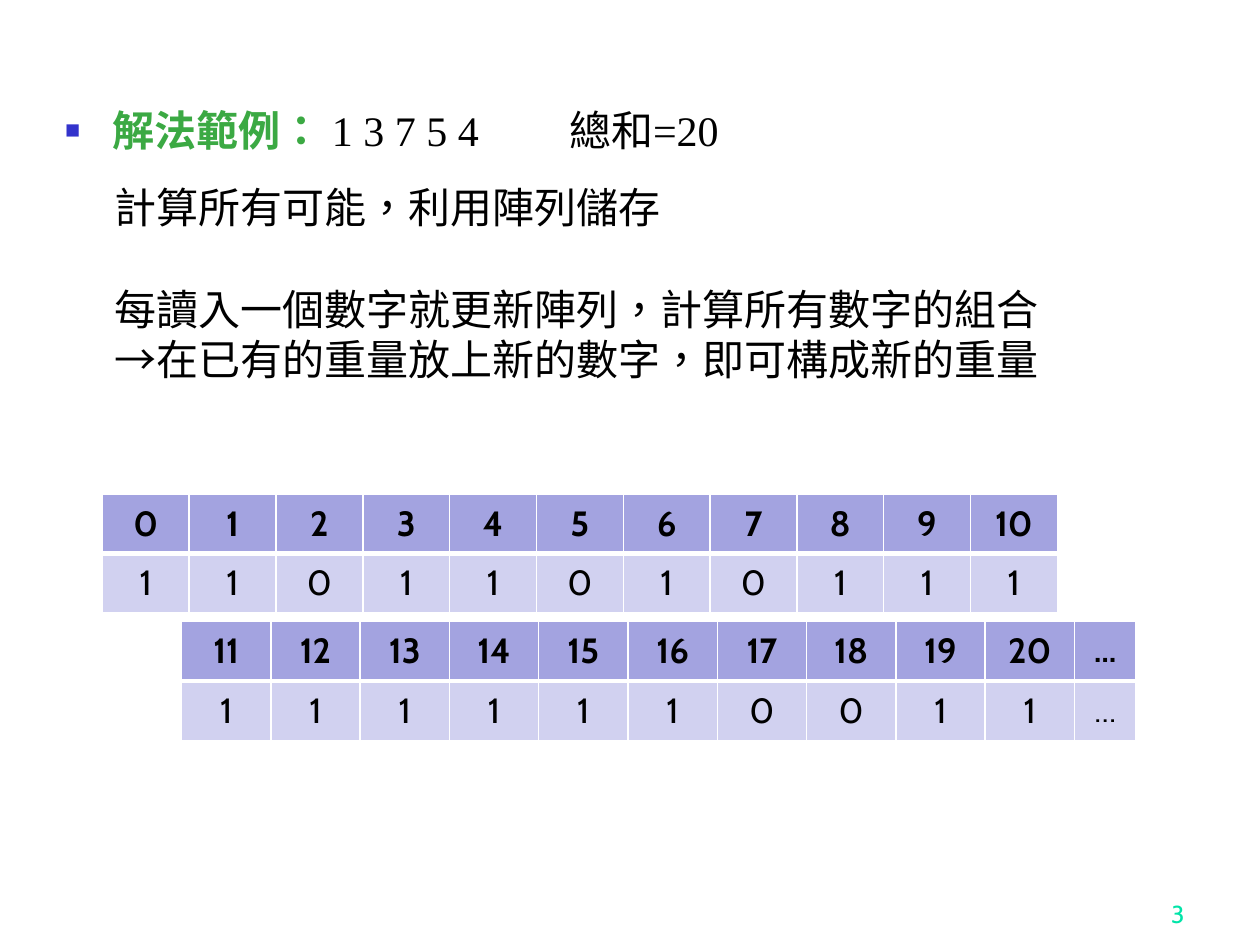
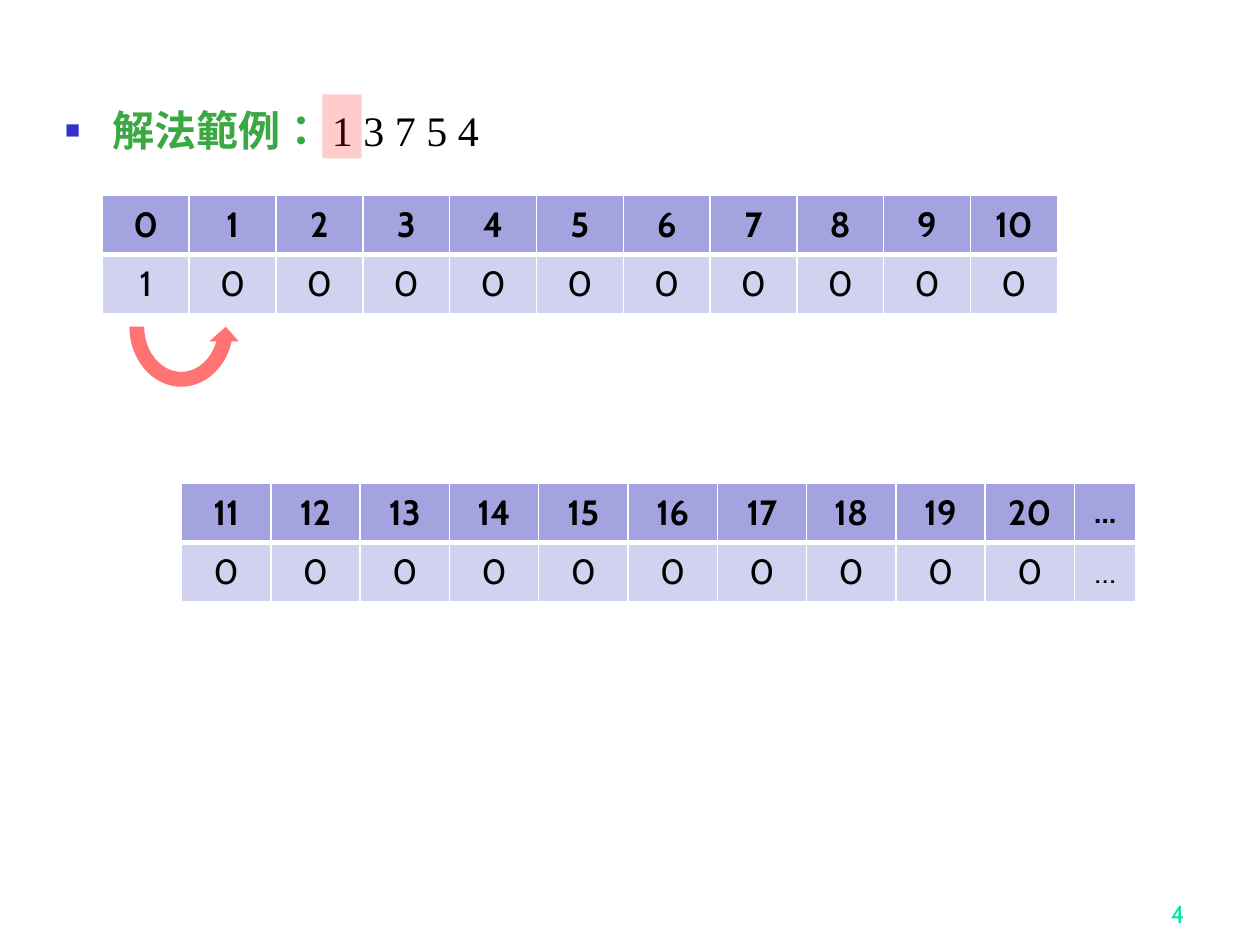
from lxml import etree
from pptx import Presentation
from pptx.dml.color import RGBColor
from pptx.enum import lang, shapes, text
from pptx.oxml import ns
from pptx.util import Pt

INK, GREEN, MINT, BULLET = "000000", "3BA943", "00E4A8", "3333CC"
HEAD_FILL, BODY_FILL, WHITE, RED = "A3A3E0", "D1D1F0", "FFFFFF", "FF0000"
SANS, SERIF, CJK = "Cabin", "Times New Roman", "Noto Sans CJK SC"
TABLE_WIDTH, ROW_HEIGHT, SUM_COLUMN = 545.75, 34, 51.05
LOW_LEFT, HIGH_LEFT = 58.5, 103.75
NOTES = ["計算所有可能，利用陣列儲存",
         "每讀入一個數字就更新陣列，計算所有數字的組合",
         "→在已有的重量放上新的數字，即可構成新的重量"]


def color(value):
    return RGBColor.from_string(value)


def add_xml(parent, tag, **attributes):
    return etree.SubElement(parent, ns.qn(tag), attributes)


def add_span(para, words, size, face, ink=INK, bold=False, asian=None):
    """Add one run; asian names the face for Chinese characters."""
    span = para.add_run()
    span.text = words
    font = span.font
    font.size, font.name, font.bold = Pt(size), face, bold
    font.color.rgb = color(ink)
    if asian:
        font.language_id = lang.MSO_LANGUAGE_ID.TRADITIONAL_CHINESE
        add_xml(span._r.get_or_add_rPr(), "a:ea", typeface=asian)


def add_text_box(page, left, top, width, height):
    box = page.shapes.add_textbox(Pt(left), Pt(top), Pt(width), Pt(height))
    box.text_frame.word_wrap = True
    return box.text_frame


def add_heading(page, width, numbers):
    box = page.placeholders[1]
    box.left, box.top, box.width, box.height = Pt(30), Pt(54), Pt(width), Pt(36.75)
    frame = box.text_frame
    frame.word_wrap = True
    frame.auto_size = text.MSO_AUTO_SIZE.NONE
    para = frame.paragraphs[0]
    settings = para._p.get_or_add_pPr()
    settings.set("marL", str(Pt(27)))
    settings.set("indent", str(-Pt(27)))
    add_xml(add_xml(settings, "a:buClr"), "a:srgbClr", val=BULLET)
    add_xml(settings, "a:buSzPct", val="60000")
    add_xml(settings, "a:buFont", typeface=SERIF)
    add_xml(settings, "a:buChar", char="■")
    para.space_before = Pt(0)
    para.line_spacing = Pt(31)
    add_span(para, "解法範例： ", 24, SERIF, GREEN, True, CJK)
    add_span(para, numbers, 24, SERIF, asian=CJK)


def add_page_number(page, number):
    frame = add_text_box(page, 534, 498, 150, 36)
    frame.vertical_anchor = text.MSO_ANCHOR.BOTTOM
    para = frame.paragraphs[0]
    para.alignment = text.PP_ALIGN.RIGHT
    add_span(para, str(number), 14, SANS, MINT)


def add_notes(page, left, top):
    frame = add_text_box(page, left, top, 625.5, 124)
    for index, words in enumerate(NOTES):
        para = frame.paragraphs[0] if index == 0 else frame.add_paragraph()
        para.line_spacing = Pt(29)
        para.space_before = Pt(29 if index == 1 else 0)
        add_span(para, words, 24, CJK, asian=CJK)


def set_borders(cell, **widths):
    settings = cell._tc.get_or_add_tcPr()
    for place, (side, width) in enumerate(widths.items()):
        line = etree.Element(ns.qn(f"a:{side}"), w=str(Pt(width)))
        add_xml(add_xml(line, "a:solidFill"), "a:srgbClr", val=WHITE)
        settings.insert(place, line)


def fill_cell(cell, words, is_head):
    cell.fill.solid()
    cell.fill.fore_color.rgb = color(HEAD_FILL if is_head else BODY_FILL)
    cell.vertical_anchor = text.MSO_ANCHOR.MIDDLE
    if is_head:
        set_borders(cell, lnL=1, lnR=1, lnT=1, lnB=3)
    else:
        set_borders(cell, lnL=1, lnR=1, lnB=1)
    para = cell.text_frame.paragraphs[0]
    para.alignment = text.PP_ALIGN.CENTER
    add_span(para, words, 18 if words == "…" else 20, SANS, bold=is_head)


def add_sum_table(page, left, top, widths, sums, flags):
    """Table of sums over flags that tell whether each sum can be reached."""
    table = page.shapes.add_table(2, len(widths), Pt(left), Pt(top),
                                  Pt(TABLE_WIDTH), Pt(2 * ROW_HEIGHT)).table
    for column, width in zip(table.columns, widths):
        column.width = Pt(width)
    for row, values in enumerate((sums, flags)):
        table.rows[row].height = Pt(ROW_HEIGHT)
        for column, value in enumerate(values):
            fill_cell(table.cell(row, column), str(value), row == 0)


def add_sum_tables(page, low_top, high_top, low_flags, high_flags):
    add_sum_table(page, LOW_LEFT, low_top, [TABLE_WIDTH / 11] * 11, range(11), low_flags)
    widths = [SUM_COLUMN] * 10 + [TABLE_WIDTH - 10 * SUM_COLUMN]
    add_sum_table(page, HIGH_LEFT, high_top, widths,
                  [*range(11, 21), "…"], [*high_flags, "…"])


def add_red_shape(page, kind, left, top, width, height, opacity):
    shape = page.shapes.add_shape(kind, Pt(left), Pt(top), Pt(width), Pt(height))
    shape.shadow.inherit = False
    shape.line.fill.background()
    shape.fill.solid()
    shape.fill.fore_color.rgb = color(RED)
    tint = shape.element.spPr.find(".//" + ns.qn("a:srgbClr"))
    add_xml(tint, "a:alpha", val=str(opacity * 1000))
    return shape


def add_page(deck, number, heading_width, numbers):
    page = deck.slides.add_slide(deck.slide_layouts[1])
    title = page.shapes.title.element
    title.getparent().remove(title)
    add_page_number(page, number)
    add_heading(page, heading_width, numbers)
    return page


def build_overview(deck):
    page = add_page(deck, 3, 625.5, "1 3 7 5 4\t\t總和=20")
    add_sum_tables(page, 282.25, 355.25, "11011010111", "1111110011")
    add_notes(page, LOW_LEFT, 100)


def build_first_step(deck):
    page = add_page(deck, 4, 301.5, "1 3 7 5 4")
    add_sum_tables(page, 111.5, 276, "1" + "0" * 10, "0" * 10)
    kinds = shapes.MSO_SHAPE
    add_red_shape(page, kinds.RECTANGLE, 184.25, 54, 22.5, 36.5, 20)
    arrow = add_red_shape(page, kinds.CIRCULAR_ARROW, 69.75, 148.25, 67.75, 77, 55)
    arrow.element.spPr.xfrm.set("flipV", "1")


def main():
    deck = Presentation()
    deck.slide_width, deck.slide_height = Pt(720), Pt(540)
    build_overview(deck)
    build_first_step(deck)
    deck.save("out.pptx")


if __name__ == "__main__":
    main()
